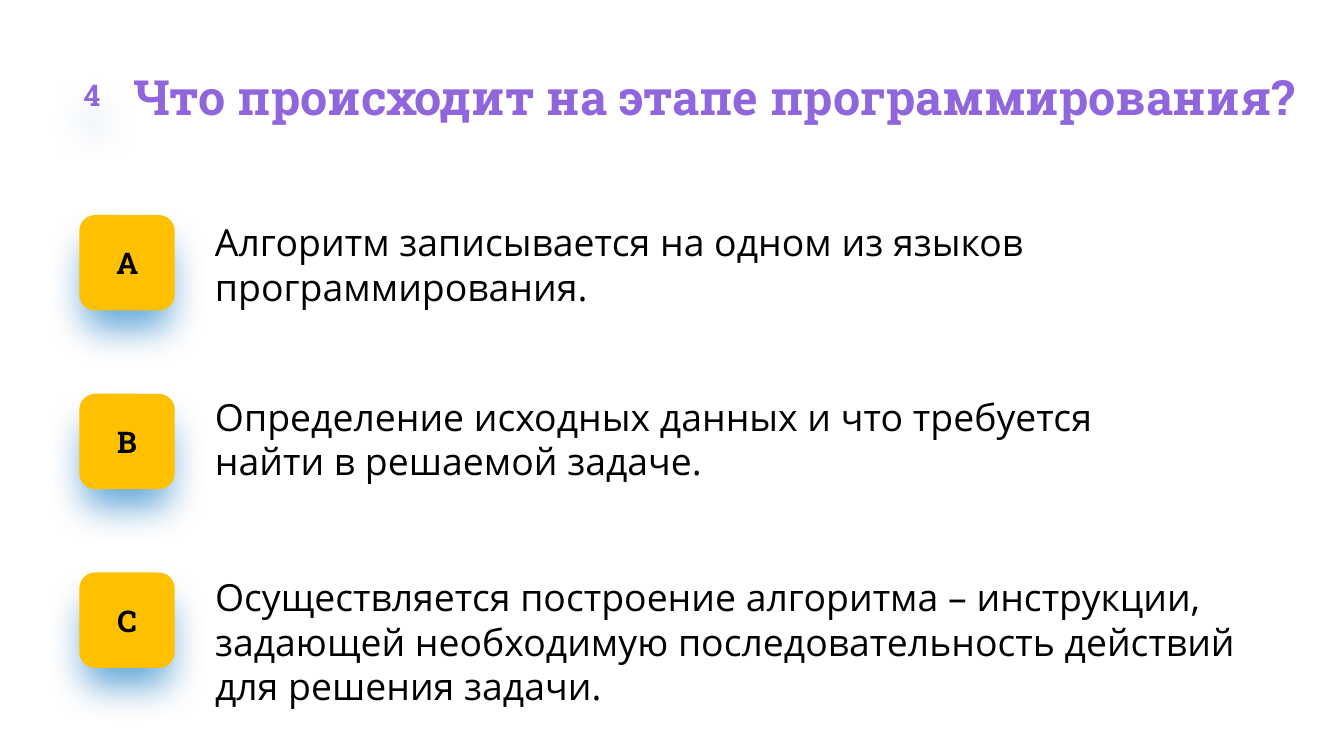
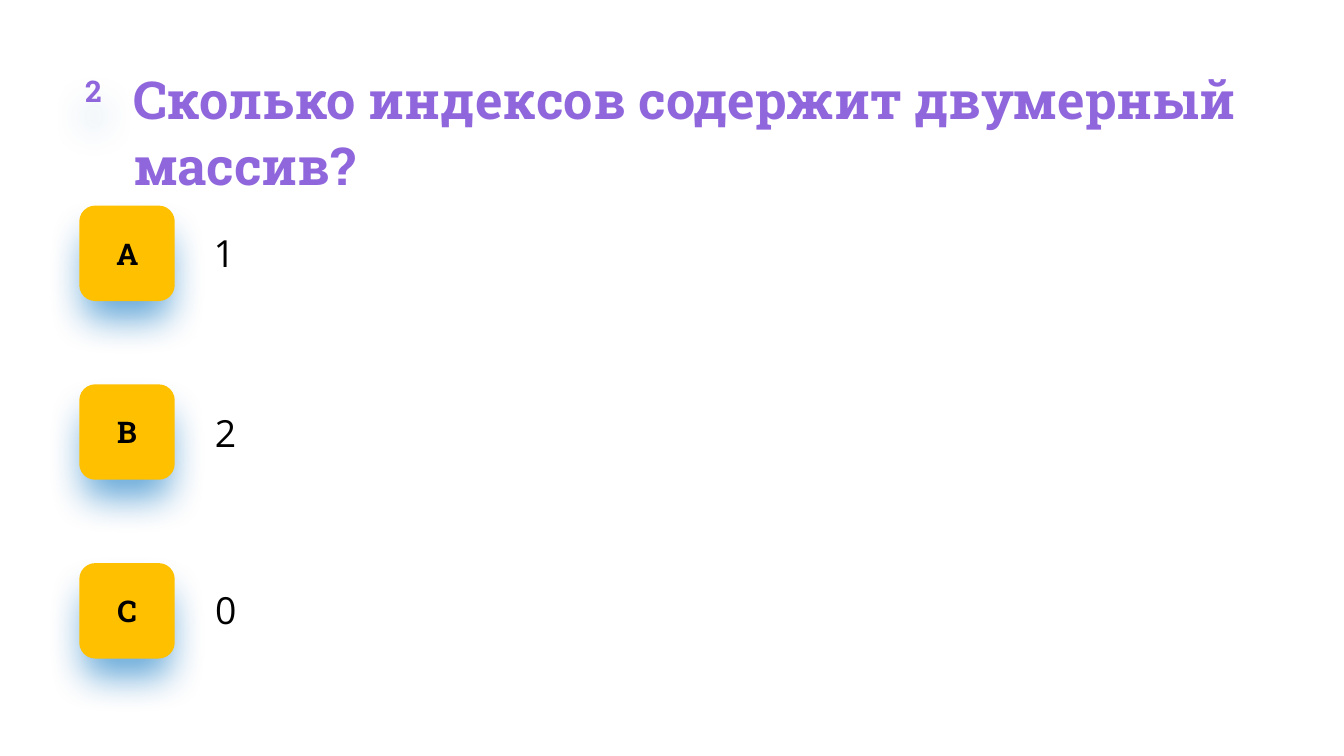
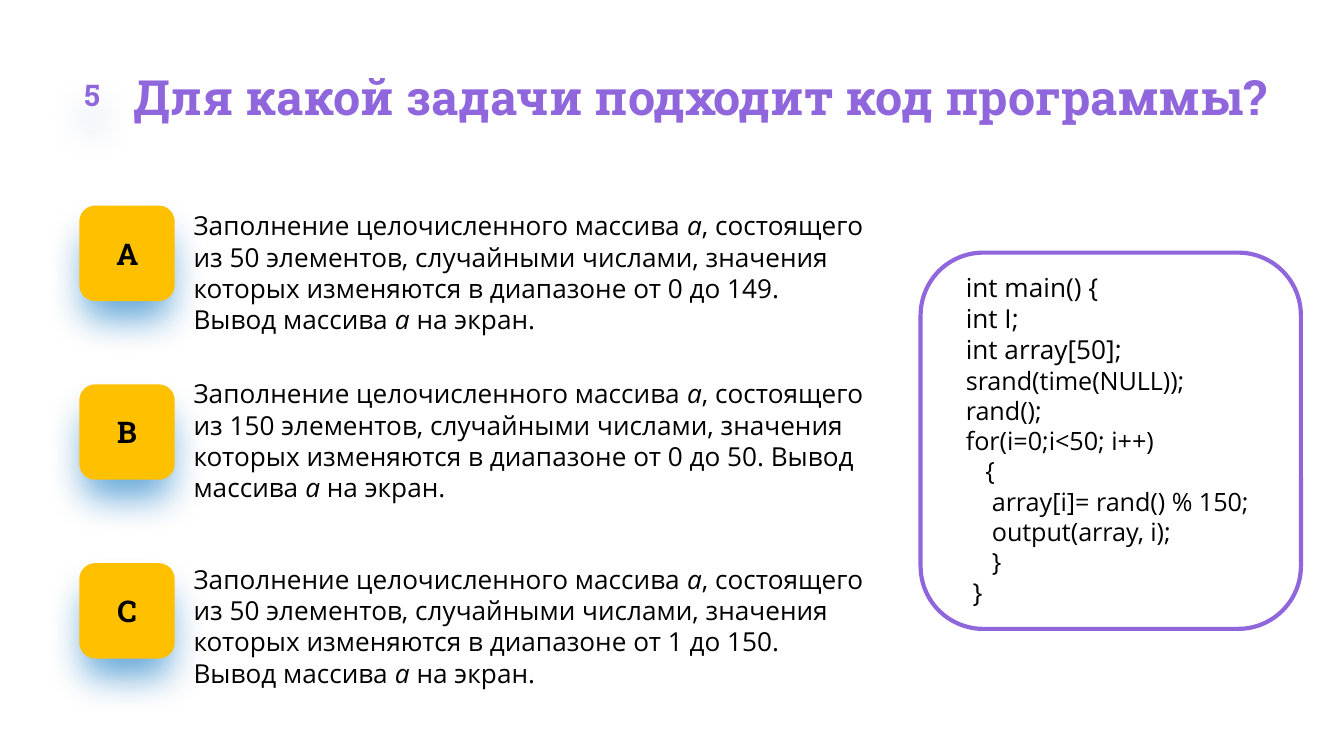
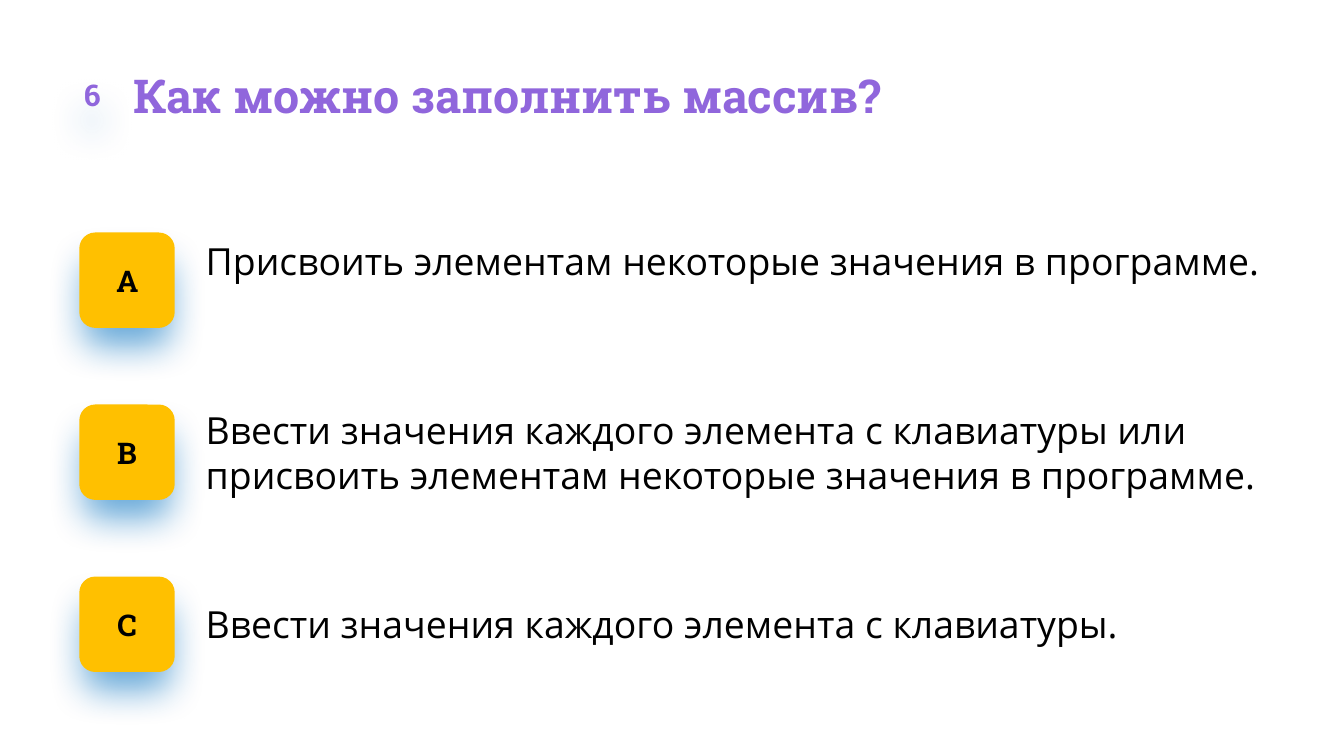
from lxml.etree import SubElement
from pptx import Presentation
from pptx.dml.color import RGBColor
from pptx.enum.shapes import MSO_SHAPE
from pptx.enum.text import MSO_ANCHOR, MSO_AUTO_SIZE, PP_ALIGN
from pptx.oxml.ns import qn
from pptx.util import Inches, Pt

PURPLE, AMBER, BLUE, BLACK = "9066DC", "FFC000", "0070C0", "000000"
HEADING_FONT, BODY_FONT = "Roboto Slab", "Open Sans"
LETTERS = "АBC"
TILE_LEFT, TILE_SIZE, BADGE_SIZE = 0.59, 0.71, 0.59

CODE = """int main() {
int I;
int array[50];
srand(time(NULL));
rand();
for(i=0;i<50; i++)
   {
    array[i]= rand() % 150;
    output(array, i);
    }
 }""".split("\n")
CODE_SIZES = [14] * 3 + [13.5] * 7 + [14]

FILL_TASK = (
    "Заполнение целочисленного массива *а*, состоящего из {} элементов, "
    "случайными числами, значения которых изменяются в диапазоне "
    "от {} до {}. Вывод массива *а* на экран."
)

QUESTIONS = [
    {
        "number": "4", "badge": (0.39, 0.41), "title_size": 26, "title_width": 9.01,
        "title": "Что происходит на этапе программирования?",
        "first_tile": 1.6, "tile_step": 1.33, "answer_size": 20,
        "answers": [
            ((1.46, 1.63, 7.24, 0.67),
             "Алгоритм записывается на одном из языков программирования."),
            ((1.46, 2.93, 7.24, 0.67),
             "Определение исходных данных и что требуется найти в решаемой задаче."),
            ((1.46, 4.27, 8.15, 1.01),
             "Осуществляется построение алгоритма – инструкции, задающей "
             "необходимую последовательность действий для решения задачи."),
        ],
    },
    {
        "number": "2", "badge": (0.4, 0.38), "title_size": 28, "title_width": 8.87,
        "title": "Сколько индексов содержит двумерный массив?",
        "title_height": 0.97,
        "first_tile": 1.53, "tile_step": 1.33, "answer_size": 20,
        "answers": [
            ((1.45, 1.71, 7.95, 0.34), "1"),
            ((1.46, 3.05, 7.24, 0.34), "2"),
            ((1.46, 4.37, 8.15, 0.34), "0"),
        ],
    },
    {
        "number": "5", "badge": (0.39, 0.41), "title_size": 26, "title_width": 8.87,
        "title": "Для какой задачи подходит код программы?",
        "first_tile": 1.53, "tile_step": 1.33, "answer_size": 14,
        "answers": [
            ((1.3, 1.56, 5.15, 0.94), FILL_TASK.format(50, 0, 149)),
            ((1.3, 2.81, 5.15, 0.94), FILL_TASK.format(150, 0, 50)),
            ((1.3, 4.19, 5.15, 0.94), FILL_TASK.format(50, 1, 150)),
        ],
        "code_box": (6.85, 1.88, 2.83, 2.8),
    },
    {
        "number": "6", "badge": (0.39, 0.41), "title_size": 25, "title_width": 8.81,
        "title": "Как можно заполнить массив?",
        "first_tile": 1.73, "tile_step": 1.28, "answer_size": 20,
        "answers": [
            ((1.39, 1.77, 8.3, 0.34),
             "Присвоить элементам некоторые значения в программе."),
            ((1.39, 3.03, 8.02, 0.67),
             "Ввести значения каждого элемента с клавиатуры или "
             "присвоить элементам некоторые значения в программе."),
            ((1.39, 4.47, 7.03, 0.34),
             "Ввести значения каждого элемента с клавиатуры."),
        ],
    },
]


def color(value):
    """Turn a hex string into a colour."""
    return RGBColor.from_string(value)


def format_font(font, name, size, font_color, bold=False):
    """Apply typeface, size, colour and weight to a font."""
    font.name = name
    font.size = Pt(size)
    font.bold = bold
    font.color.rgb = color(font_color)


def prepare_frame(text_frame, left_inset=0):
    """Wrap the text and set the insets of its frame."""
    text_frame.word_wrap = True
    text_frame.margin_left = Inches(left_inset)
    text_frame.margin_top = text_frame.margin_right = text_frame.margin_bottom = 0


def add_text_box(slide, box, left_inset=0):
    """Add a growing text box and return its first paragraph."""
    text_frame = slide.shapes.add_textbox(*map(Inches, box)).text_frame
    prepare_frame(text_frame, left_inset)
    text_frame.auto_size = MSO_AUTO_SIZE.SHAPE_TO_FIT_TEXT
    return text_frame.paragraphs[0]


def add_rounded_box(slide, box):
    """Add a plain rounded rectangle without fill, line or shadow."""
    shape = slide.shapes.add_shape(MSO_SHAPE.ROUNDED_RECTANGLE, *map(Inches, box))
    shape.shadow.inherit = False
    shape.fill.background()
    shape.line.fill.background()
    prepare_frame(shape.text_frame)
    return shape


def add_soft_shadow(shape):
    """Cast a blurred, slightly smaller blue shadow straight down."""
    effects = shape._element.spPr.find(qn("a:effectLst"))
    shadow = SubElement(effects, qn("a:outerShdw"), blurRad=str(Pt(20)),
                        dist=str(Pt(15)), dir="5400000", sx="90000", sy="90000",
                        algn="t", rotWithShape="0")
    shade = SubElement(shadow, qn("a:srgbClr"), val=BLUE)
    SubElement(shade, qn("a:alpha"), val="60000")


def add_label(slide, box, text, text_color):
    """Add a shadowed rounded box with a centred bold label."""
    shape = add_rounded_box(slide, box)
    add_soft_shadow(shape)
    text_frame = shape.text_frame
    text_frame.vertical_anchor = MSO_ANCHOR.MIDDLE
    text_frame.text = text
    paragraph = text_frame.paragraphs[0]
    paragraph.alignment = PP_ALIGN.CENTER
    format_font(paragraph.runs[0].font, HEADING_FONT, 16, text_color, bold=True)
    return shape


def add_title(slide, box, text, size):
    """Add the question as a purple heading."""
    paragraph = add_text_box(slide, box)
    paragraph.text = text
    paragraph.line_spacing = 1.06
    format_font(paragraph.runs[0].font, HEADING_FONT, size, PURPLE, bold=True)


def add_answer(slide, box, text, size):
    """Add an answer, setting the parts between asterisks in italics."""
    paragraph = add_text_box(slide, box, left_inset=0.14)
    for index, part in enumerate(text.split("*")):
        run = paragraph.add_run()
        run.text = part
        format_font(run.font, BODY_FONT, size, BLACK)
        run.font.italic = index % 2 == 1


def add_code(slide, box):
    """Add the outlined box with the program listing."""
    shape = add_rounded_box(slide, box)
    shape.line.color.rgb = color(PURPLE)
    shape.line.width = Pt(2.25)
    text_frame = shape.text_frame
    text_frame.vertical_anchor = MSO_ANCHOR.TOP
    text_frame.text = "\n".join(CODE)
    for paragraph, size in zip(text_frame.paragraphs, CODE_SIZES):
        paragraph.alignment = PP_ALIGN.LEFT
        paragraph._p.get_or_add_pPr().set("indent", str(Inches(0.2)))
        format_font(paragraph.runs[0].font, BODY_FONT, size, BLACK)


def add_question_slide(presentation, question):
    """Add a numbered question with three lettered answers."""
    slide = presentation.slides.add_slide(presentation.slide_layouts[6])
    title_box = (0.99, 0.47, question["title_width"], question.get("title_height", 0.44))
    add_title(slide, title_box, question["title"], question["title_size"])
    add_label(slide, (*question["badge"], BADGE_SIZE, BADGE_SIZE),
              question["number"], PURPLE)
    for index, (letter, (box, text)) in enumerate(zip(LETTERS, question["answers"])):
        top = question["first_tile"] + index * question["tile_step"]
        tile = add_label(slide, (TILE_LEFT, top, TILE_SIZE, TILE_SIZE), letter, BLACK)
        tile.fill.solid()
        tile.fill.fore_color.rgb = color(AMBER)
        add_answer(slide, box, text, question["answer_size"])
    if "code_box" in question:
        add_code(slide, question["code_box"])


def main():
    """Build and save the quiz."""
    presentation = Presentation()
    presentation.slide_width = Inches(10)
    presentation.slide_height = Inches(10) * 9 // 16
    for question in QUESTIONS:
        add_question_slide(presentation, question)
    presentation.save("out.pptx")


if __name__ == "__main__":
    main()
